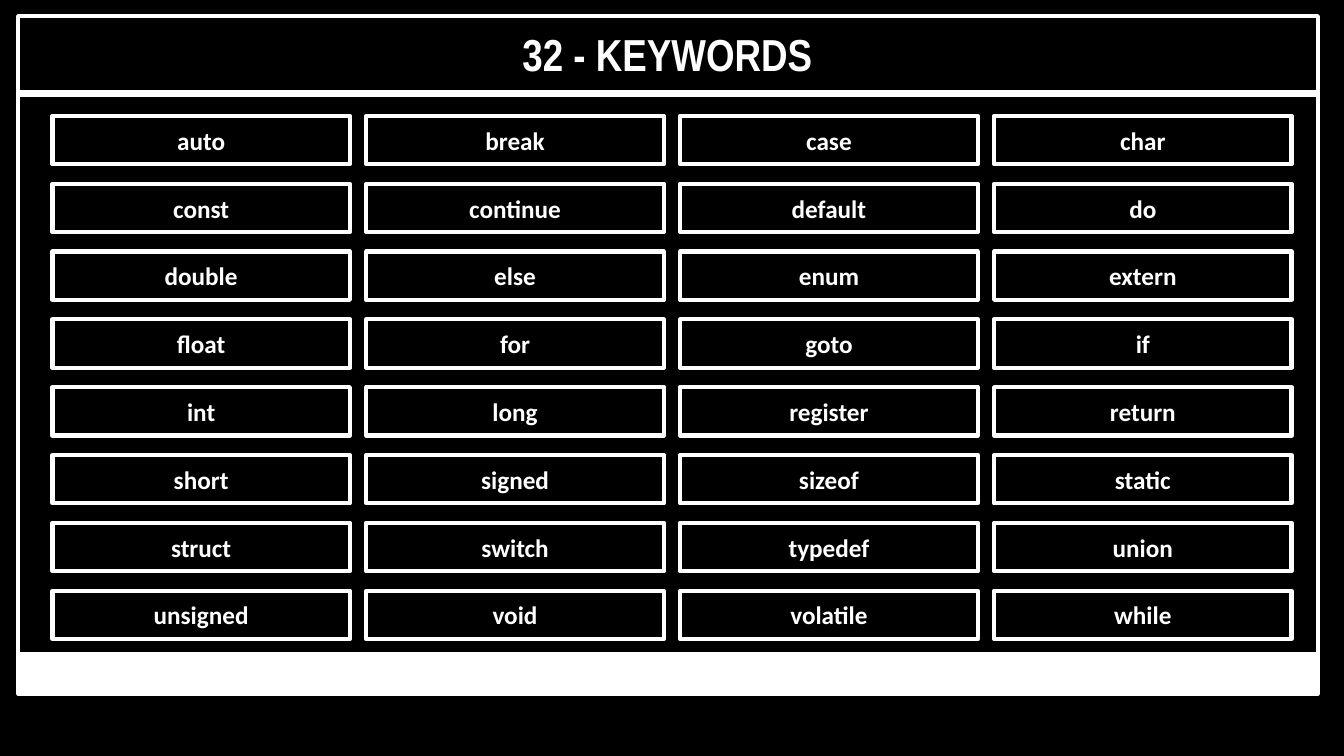
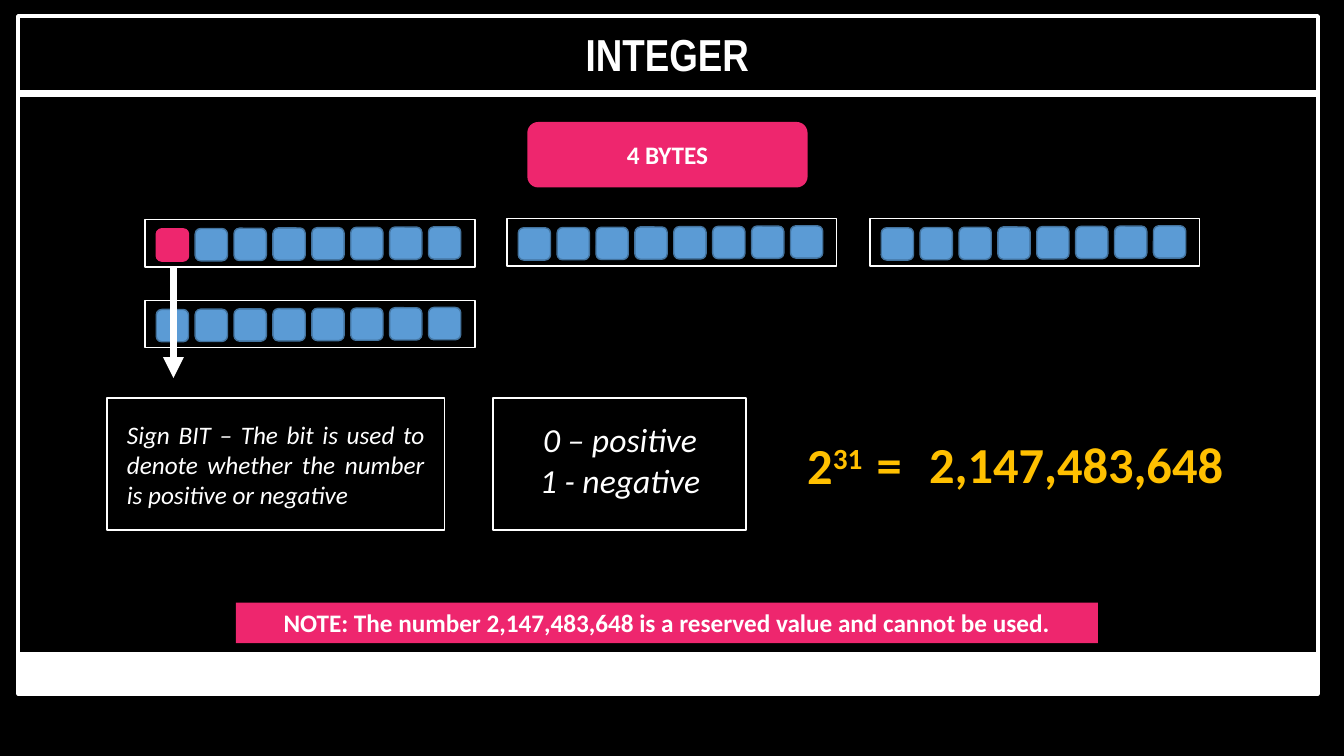
from lxml.etree import SubElement
from pptx import Presentation
from pptx.dml.color import RGBColor
from pptx.enum.shapes import MSO_CONNECTOR, MSO_SHAPE
from pptx.enum.text import MSO_ANCHOR, MSO_AUTO_SIZE, PP_ALIGN
from pptx.oxml.ns import qn
from pptx.util import Inches, Pt

COLORS = {
    "black": "000000",
    "white": "FFFFFF",
    "pink": "EE266E",
    "blue": "5B9BD5",
    "edge": "43739E",
    "gold": "FFC000",
}

KEYWORDS = [
    ["auto", "break", "case", "char"],
    ["const", "continue", "default", "do"],
    ["double", "else", "enum", "extern"],
    ["float", "for", "goto", "if"],
    ["int", "long", "register", "return"],
    ["short", "signed", "sizeof", "static"],
    ["struct", "switch", "typedef", "union"],
    ["unsigned", "void", "volatile", "while"],
]
GRID_LEFT, GRID_RIGHT = 0.52, 9.86
GRID_TOP, GRID_BOTTOM = 1.15, 5.86

BYTES = [(1.44, 2.18), (5.03, 2.17), (8.63, 2.17), (1.44, 2.98)]
BITS = 8
BIT_SPAN, BIT_RISE = 2.7, 0.02

CAPTIONS = [
    ((1.06, 3.95, 3.35, 1.31), (1.16, 4.11, 3.15, 1.01), 18, PP_ALIGN.JUSTIFY,
     ["Sign BIT – The bit is used to denote whether the number is positive or negative"]),
    ((4.89, 3.95, 2.51, 1.31), (4.97, 4.11, 2.36, 0.91), 24, PP_ALIGN.CENTER,
     ["0 – positive", "1 - negative"]),
]
EQUATION = [
    ("2", "31", (7.62, 4.26, 1.32, 0.71)),
    ("=", "", (8.16, 4.25, 1.32, 0.71)),
    ("2,147,483,648", "", (8.3, 4.25, 4.75, 0.71)),
]
NOTE = "NOTE: The number 2,147,483,648 is a reserved value and cannot be used."


def rgb(name):
    return RGBColor.from_string(COLORS[name])


def style(p, size, color="white", bold=True, italic=False, font="Calibri", align=PP_ALIGN.CENTER):
    p.alignment = align
    p.font.name, p.font.size = font, Pt(size)
    p.font.bold, p.font.italic = bold, italic
    p.font.color.rgb = rgb(color)


def add_box(shapes, box, fill=None, line=None, width=1, kind=MSO_SHAPE.RECTANGLE, text=None):
    sp = shapes.add_shape(kind, *map(Inches, box))
    sp.shadow.inherit = False
    if fill:
        sp.fill.solid()
        sp.fill.fore_color.rgb = rgb(fill)
    else:
        sp.fill.background()
    if line:
        sp.line.color.rgb = rgb(line)
        sp.line.width = Pt(width)
    else:
        sp.line.fill.background()
    if text:
        tf = sp.text_frame
        tf.vertical_anchor = MSO_ANCHOR.MIDDLE
        tf.text = text
        style(tf.paragraphs[0], 18)
    return sp


def add_text(shapes, box, lines, size, **look):
    tf = shapes.add_textbox(*map(Inches, box)).text_frame
    tf.word_wrap = True
    tf.text = "\n".join(lines)
    for p in tf.paragraphs:
        style(p, size, **look)
    return tf


def add_line(shapes, start, end, arrow=False):
    cn = shapes.add_connector(MSO_CONNECTOR.STRAIGHT, *map(Inches, start + end))
    cn.line.color.rgb = rgb("white")
    cn.line.width = Pt(5)
    if arrow:
        SubElement(cn.line._get_or_add_ln(), qn("a:tailEnd"), type="triangle")
    SubElement(cn._element.spPr, qn("a:effectLst"))


def add_slide(prs, title):
    s = prs.slides.add_slide(prs.slide_layouts[5])
    sp = s.shapes.title
    sp.left, sp.top, sp.width, sp.height = map(Inches, (2.44, 0.21, 8.36, 0.64))
    tf = sp.text_frame
    tf.text = title
    tf.auto_size = MSO_AUTO_SIZE.NONE
    tf.vertical_anchor = MSO_ANCHOR.MIDDLE
    style(tf.paragraphs[0], 32, font="Arial Narrow")
    add_box(s.shapes, (0.18, 0.16, 12.89, 6.72), line="white", width=3)
    add_box(s.shapes, (0.16, 6.47, 12.91, 0.4), fill="white")
    add_line(s.shapes, (0.16, 0.93), (13.07, 0.93))
    return s


def add_byte(s, left, top, signed):
    group = s.shapes.add_group_shape().shapes
    for i in range(BITS):
        part = i / (BITS - 1)
        box = (left + 0.11 + BIT_SPAN * part, top + 0.09 - BIT_RISE * part, 0.32, 0.32)
        fill, line = ("pink", "pink") if signed and i == 0 else ("blue", "edge")
        add_box(group, box, fill, line, kind=MSO_SHAPE.ROUNDED_RECTANGLE)
    add_box(group, (left, top, 3.27, 0.47), line="white")


def build_keywords(prs):
    s = add_slide(prs, "32 - KEYWORDS")
    group = s.shapes.add_group_shape().shapes
    col_step = (GRID_RIGHT - GRID_LEFT) / (len(KEYWORDS[0]) - 1)
    row_step = (GRID_BOTTOM - GRID_TOP) / (len(KEYWORDS) - 1)
    for r, row in enumerate(KEYWORDS):
        for c, word in enumerate(row):
            box = (GRID_LEFT + c * col_step, GRID_TOP + r * row_step, 2.95, 0.48)
            add_box(group, box, line="white", width=3, text=word)


def build_integer(prs):
    s = add_slide(prs, "INTEGER")
    add_box(s.shapes, (5.23, 1.21, 2.78, 0.65), "pink",
            kind=MSO_SHAPE.ROUNDED_RECTANGLE, text="4 BYTES")
    for i, (left, top) in enumerate(BYTES):
        add_byte(s, left, top, signed=i == 0)
    add_box(s.shapes, (2.34, 5.98, 8.55, 0.4), "pink", text=NOTE)
    add_line(s.shapes, (1.72, 2.64), (1.72, 3.75), arrow=True)
    for frame, box, size, align, lines in CAPTIONS:
        group = s.shapes.add_group_shape().shapes
        add_text(group, box, lines, size, bold=False, italic=True, align=align)
        add_box(group, frame, line="white")
    group = s.shapes.add_group_shape().shapes
    for term, power, box in EQUATION:
        p = add_text(group, box, [term], 36, color="gold").paragraphs[0]
        if power:
            r = p.add_run()
            r.text = power
            r._r.get_or_add_rPr().set("baseline", "30000")


def main():
    prs = Presentation()
    prs.slide_width, prs.slide_height = Inches(13.33), Inches(7.5)
    fill = prs.slide_master.background.fill
    fill.solid()
    fill.fore_color.rgb = rgb("black")
    build_keywords(prs)
    build_integer(prs)
    prs.save("out.pptx")


if __name__ == "__main__":
    main()
